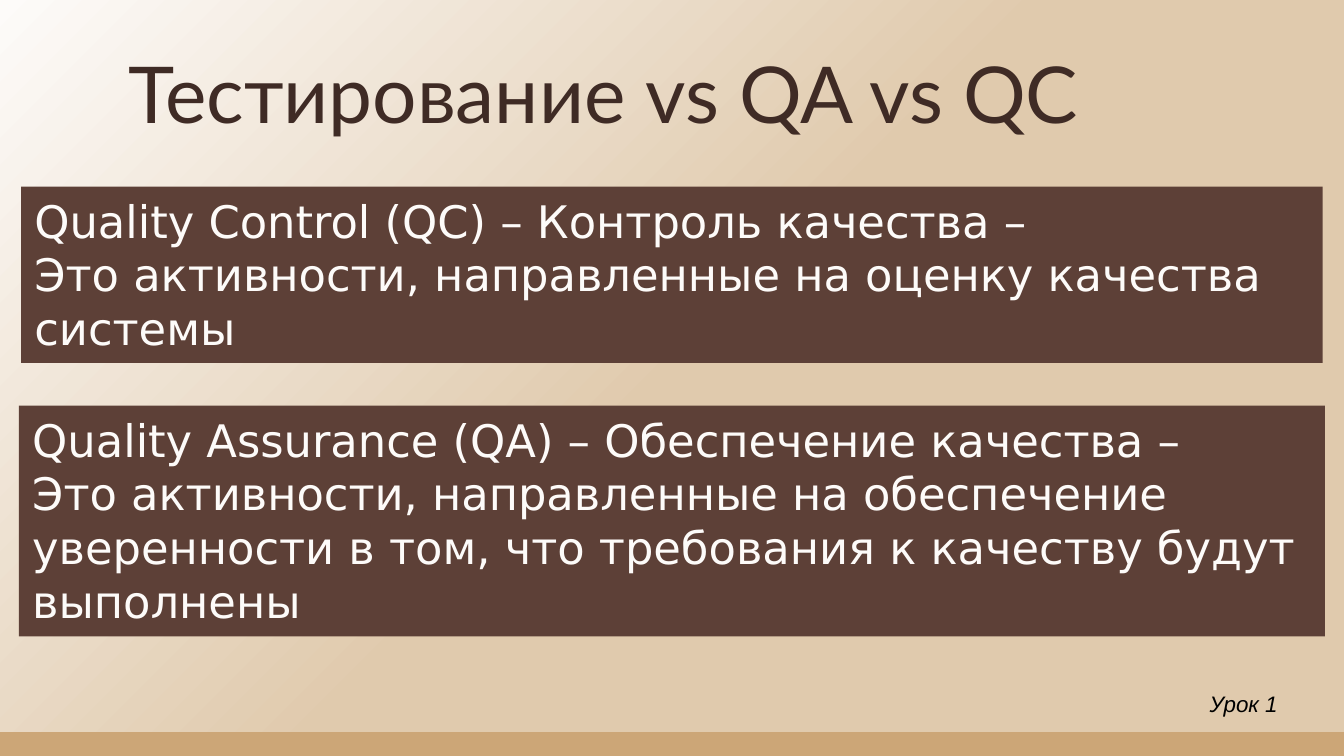
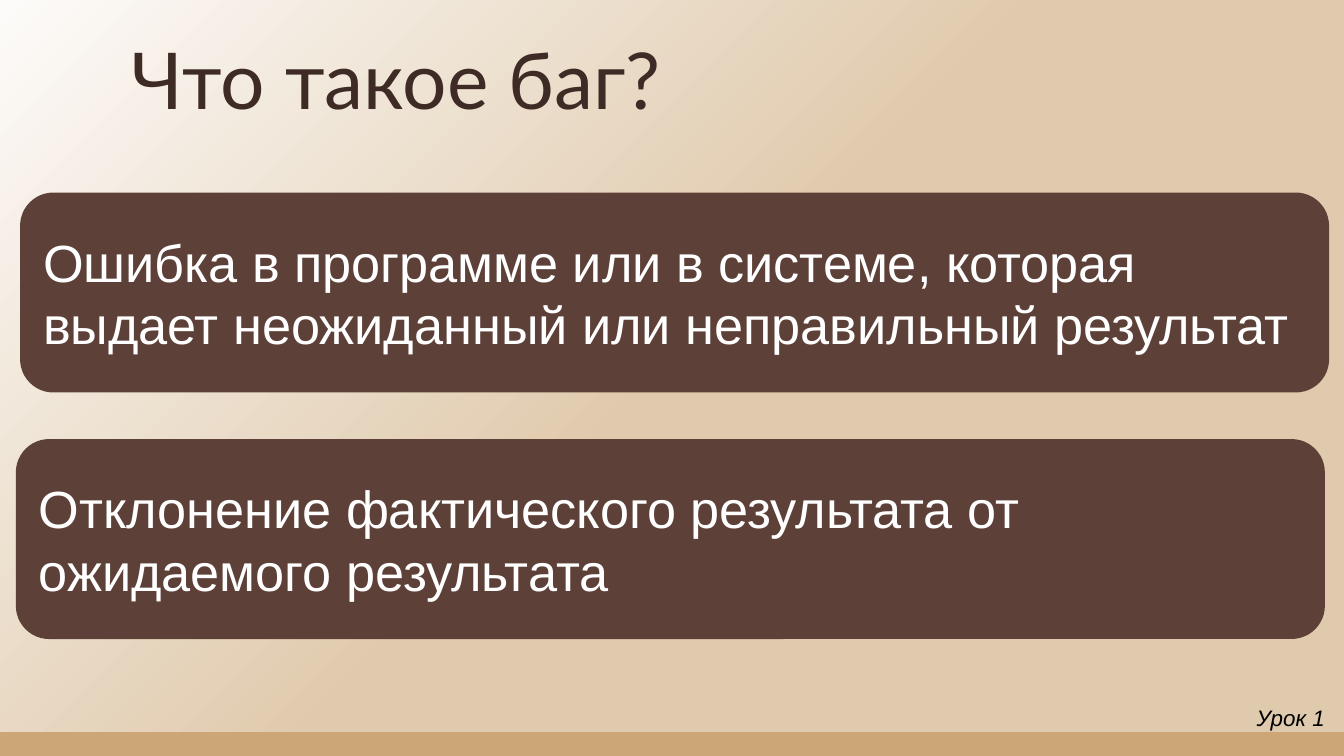
from dataclasses import dataclass

from pptx import Presentation
from pptx.dml.color import RGBColor
from pptx.enum.shapes import MSO_SHAPE
from pptx.enum.text import MSO_ANCHOR, MSO_AUTO_SIZE, PP_ALIGN
from pptx.shapes.autoshape import Shape
from pptx.slide import Slide
from pptx.util import Cm, Pt


# Theme: colours and text styles
@dataclass(frozen=True)
class TextStyle:
    font: str
    size: int
    color: str
    italic: bool = False
    line_spacing: float | None = None


@dataclass(frozen=True)
class Theme:
    light: str = "FDFBF9"
    sand: str = "E0CAAD"
    band: str = "CCA677"
    panel: str = "5D4037"
    title: TextStyle = TextStyle("Lato", 42, "3F2B25", line_spacing=0.9)
    term: TextStyle = TextStyle("DejaVu Sans", 24, "FDFBF9")
    definition: TextStyle = TextStyle("Arial", 28, "FFFFFF")
    lesson: TextStyle = TextStyle("Arial", 12, "000000", italic=True)


THEME = Theme()
WIDTH, HEIGHT, BAND_TOP = 25.4, 14.29, 13.84
LESSON = "Урок 1"


# Repeated elements; lengths in centimetres
@dataclass(frozen=True)
class Box:
    left: float
    top: float
    width: float
    height: float

    def lengths(self) -> list[Cm]:
        return [Cm(v) for v in (self.left, self.top, self.width, self.height)]


@dataclass(frozen=True)
class Panel:
    box: Box
    lines: tuple[str, ...]


@dataclass(frozen=True)
class PanelKind:
    shape: MSO_SHAPE
    style: TextStyle
    frame: dict


@dataclass(frozen=True)
class Page:
    title: str
    title_box: Box
    lesson_box: Box
    kind: PanelKind
    panels: tuple[Panel, ...]


# Text frame formats
GROWING = {"word_wrap": True, "auto_size": MSO_AUTO_SIZE.SHAPE_TO_FIT_TEXT,
           "vertical_anchor": MSO_ANCHOR.TOP}
CENTRED = {"word_wrap": True, "vertical_anchor": MSO_ANCHOR.MIDDLE}
TITLE_FRAME = {"word_wrap": True, "vertical_anchor": MSO_ANCHOR.BOTTOM}
TITLE_FRAME |= {f"margin_{side}": Cm(0.25) for side in ("left", "top", "right", "bottom")}

TERMS = PanelKind(MSO_SHAPE.RECTANGLE, THEME.term, GROWING)
DEFINITIONS = PanelKind(MSO_SHAPE.ROUNDED_RECTANGLE, THEME.definition, CENTRED)

PAGES = (
    Page(
        "Тестирование vs QA vs QC",
        Box(2.18, 0.74, 21, 2.16),
        Box(22.61, 12.93, 2.51, 0.76),
        TERMS,
        (
            Panel(Box(0.4, 3.53, 24.6, 3.33), (
                "Quality Control (QC) – Контроль качества –",
                "Это активности, направленные на оценку качества системы",
            )),
            Panel(Box(0.36, 7.67, 24.68, 4.36), (
                "Quality Assurance (QA) – Обеспечение качества –",
                "Это активности, направленные на обеспечение уверенности в том, "
                "что требования к качеству будут выполнены",
            )),
        ),
    ),
    Page(
        "Что такое баг?",
        Box(2.24, 0.48, 21, 2.16),
        Box(23.5, 13.18, 1.9, 0.76),
        DEFINITIONS,
        (
            Panel(Box(0.38, 3.64, 24.74, 3.78), (
                "Ошибка в программе или в системе, которая выдает "
                "неожиданный или неправильный результат",
            )),
            Panel(Box(0.3, 8.3, 24.74, 3.78), (
                "Отклонение фактического результата от ожидаемого результата",
            )),
        ),
    ),
)


def set_attrs(target: object, values: dict) -> None:
    for name, value in values.items():
        setattr(target, name, value)


def write(sp: Shape, lines: tuple[str, ...], style: TextStyle, frame: dict) -> None:
    tf = sp.text_frame
    set_attrs(tf, frame)
    for i, line in enumerate(lines):
        p = tf.add_paragraph() if i else tf.paragraphs[0]
        set_attrs(p, {"alignment": PP_ALIGN.LEFT, "line_spacing": style.line_spacing})
        r = p.add_run()
        r.text = line
        set_attrs(r.font, {"name": style.font, "size": Pt(style.size),
                           "italic": style.italic})
        r.font.color.rgb = RGBColor.from_string(style.color)


def add_text(s: Slide, box: Box, text: str, style: TextStyle, frame: dict) -> None:
    write(s.shapes.add_textbox(*box.lengths()), (text,), style, frame)


def add_block(s: Slide, kind: MSO_SHAPE, box: Box, color: str) -> Shape:
    sp = s.shapes.add_shape(kind, *box.lengths())
    sp.shadow.inherit = False
    sp.fill.solid()
    sp.fill.fore_color.rgb = RGBColor.from_string(color)
    sp.line.fill.background()
    return sp


def add_backdrop(s: Slide) -> None:
    fill = s.background.fill
    fill.gradient()
    fill.gradient_angle = 315
    for stop, position, color in zip(fill.gradient_stops, (0, 0.5),
                                     (THEME.light, THEME.sand)):
        stop.position = position
        stop.color.rgb = RGBColor.from_string(color)
    band = Box(0, BAND_TOP, WIDTH, HEIGHT - BAND_TOP)
    add_block(s, MSO_SHAPE.RECTANGLE, band, THEME.band)


def add_page(s: Slide, page: Page) -> None:
    add_backdrop(s)
    add_text(s, page.title_box, page.title, THEME.title, TITLE_FRAME)
    kind = page.kind
    for panel in page.panels:
        sp = add_block(s, kind.shape, panel.box, THEME.panel)
        write(sp, panel.lines, kind.style, kind.frame)
    add_text(s, page.lesson_box, LESSON, THEME.lesson, GROWING)


def main() -> None:
    prs = Presentation()
    prs.slide_width, prs.slide_height = Cm(WIDTH), Cm(HEIGHT)
    blank = prs.slide_layouts[6]
    for page in PAGES:
        add_page(prs.slides.add_slide(blank), page)
    prs.save("out.pptx")


if __name__ == "__main__":
    main()
